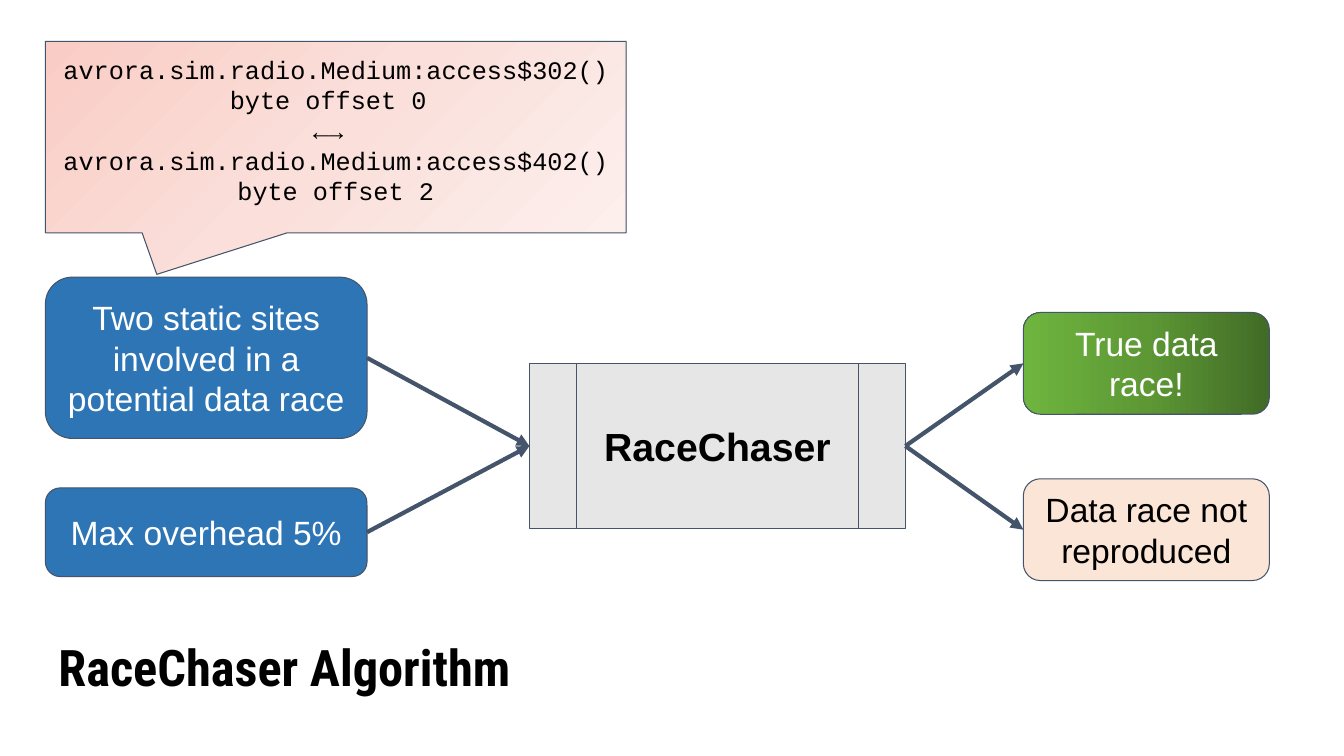
from copy import deepcopy

from lxml import etree
from pptx import Presentation
from pptx.dml.color import RGBColor
from pptx.enum.shapes import MSO_CONNECTOR, MSO_SHAPE
from pptx.enum.text import MSO_ANCHOR, PP_ALIGN
from pptx.oxml.ns import qn
from pptx.util import Inches, Pt

ROUNDED = MSO_SHAPE.ROUNDED_RECTANGLE
PROCESS = MSO_SHAPE.FLOWCHART_PREDEFINED_PROCESS
CALLOUT = MSO_SHAPE.ROUNDED_RECTANGULAR_CALLOUT
STRAIGHT = MSO_CONNECTOR.STRAIGHT
TOP, MIDDLE = MSO_ANCHOR.TOP, MSO_ANCHOR.MIDDLE
LEFT, CENTER = PP_ALIGN.LEFT, PP_ALIGN.CENTER
LEFT_SITE, RIGHT_SITE = 1, 3

COLORS = {
    "outline": "44546A",
    "input": "2E75B6",
    "process": "E7E6E6",
    "failure": "FBE5D6",
    "black": "000000",
    "white": "FFFFFF",
}
GRADIENTS = {
    "success": (180, ["416B26", "5D9835", "6EB53F"]),
    "example": (315, ["F9CDC5", "FADFDA", "FCEFEC"]),
}


def write_text(shape, text, size, color="black", font="Arial", bold=False,
               align=CENTER, anchor=MIDDLE):
    frame = shape.text_frame
    frame.text = text
    frame.word_wrap = True
    frame.vertical_anchor = anchor
    for side in ("left", "top", "right", "bottom"):
        setattr(frame, f"margin_{side}", Inches(0.13))
    font_format = {"name": font, "size": Pt(size), "bold": bold}
    for paragraph in frame.paragraphs:
        paragraph.alignment = align
        for run in paragraph.runs:
            for attribute, value in font_format.items():
                setattr(run.font, attribute, value)
            run.font.color.rgb = RGBColor.from_string(COLORS[color])


def paint(shape, fill):
    shape.shadow.inherit = False
    shape.line.color.rgb = RGBColor.from_string(COLORS["outline"])
    shape.line.width = Pt(0.75)
    if fill in COLORS:
        shape.fill.solid()
        shape.fill.fore_color.rgb = RGBColor.from_string(COLORS[fill])
        return
    angle, stop_colors = GRADIENTS[fill]
    shape.fill.gradient()
    shape.fill.gradient_angle = angle
    stop_list = shape._element.spPr.find(qn("a:gradFill")).find(qn("a:gsLst"))
    stop_list.insert(1, deepcopy(stop_list[0]))
    for index, stop in enumerate(shape.fill.gradient_stops):
        stop.position = index / 2
        stop.color.rgb = RGBColor.from_string(stop_colors[index])


presentation = Presentation()
presentation.slide_width = Inches(13.33)
presentation.slide_height = Inches(7.5)
slide = presentation.slides.add_slide(presentation.slide_layouts[6])

title = slide.shapes.add_textbox(Inches(0.45), Inches(6.17), Inches(8.75), Inches(0.88))
write_text(title, "RaceChaser Algorithm", 36, font="Roboto Condensed", bold=True, align=LEFT)

race_example = (
    "avrora.sim.radio.Medium:access$302()\vbyte offset 0 \n"
    "←→ \n"
    "avrora.sim.radio.Medium:access$402() byte offset 2"
)
boxes = [
    ("process", PROCESS, (5.25, 3.61, 3.73, 1.63), [], "process",
     "RaceChaser", {"size": 28, "bold": True}),
    ("sites", ROUNDED, (0.45, 2.75, 3.19, 1.6), [0.167], "input",
     "Two static sites involved in a potential data race", {"size": 24, "color": "white"}),
    ("overhead", ROUNDED, (0.45, 4.84, 3.19, 0.88), [0.167], "input",
     "Max overhead 5%", {"size": 24, "color": "white"}),
    ("true race", ROUNDED, (10.15, 3.1, 2.44, 1.01), [0.167], "success",
     "True data race!", {"size": 24, "color": "white"}),
    ("not reproduced", ROUNDED, (10.15, 4.75, 2.44, 1.01), [0.167], "failure",
     "Data race not reproduced", {"size": 24}),
    ("example", CALLOUT, (0.45, 0.41, 5.76, 1.9), [-0.308, 0.717, 0], "example",
     race_example, {"size": 18, "font": "Courier New", "anchor": TOP}),
]
shapes = {}
for name, kind, bounds, adjustments, fill, text, text_format in boxes:
    shape = slide.shapes.add_shape(kind, *map(Inches, bounds))
    for index, value in enumerate(adjustments):
        shape.adjustments[index] = value
    paint(shape, fill)
    write_text(shape, text, **text_format)
    shapes[name] = shape

arrows = [
    ("sites", "process"),
    ("overhead", "process"),
    ("process", "true race"),
    ("process", "not reproduced"),
]
for source, target in arrows:
    arrow = slide.shapes.add_connector(STRAIGHT, 0, 0, 0, 0)
    arrow.begin_connect(shapes[source], RIGHT_SITE)
    arrow.end_connect(shapes[target], LEFT_SITE)
    arrow.line.color.rgb = RGBColor.from_string(COLORS["outline"])
    arrow.line.width = Pt(3)
    properties = arrow._element.spPr
    etree.SubElement(properties.find(qn("a:ln")), qn("a:tailEnd"), type="triangle")
    etree.SubElement(properties, qn("a:effectLst"))

presentation.save("out.pptx")
